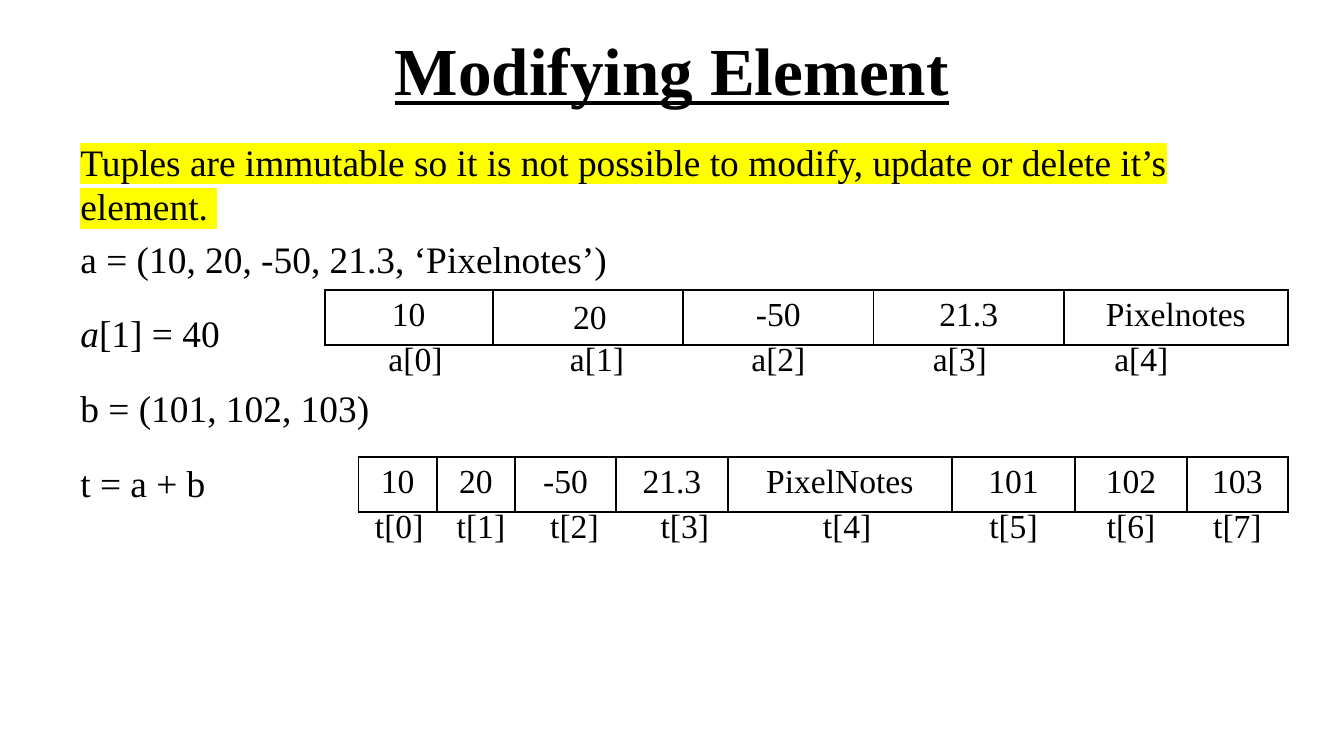
import pptx
import pptx.dml.color
import pptx.enum.text
import pptx.oxml
import pptx.oxml.ns
import pptx.util

PX = 914400 // 120
FONT = "Times New Roman"
BLACK = pptx.dml.color.RGBColor(0, 0, 0)
YELLOW = pptx.dml.color.RGBColor(255, 255, 0)
NO_STYLE = "{2D5ABB26-0587-4C30-8999-92F81FD0307C}"
NAMESPACE = pptx.oxml.ns.nsdecls("a")
ROW_HEIGHT = 49


def add_run(paragraph, text, size):
    run = paragraph.add_run()
    run.text = text
    run.font.name = FONT
    run.font.size = pptx.util.Pt(size)
    run.font.color.rgb = BLACK
    return run


def add_row(left, top, widths, texts, bordered):
    """Add a one-row table of centred texts, with or without a black grid."""
    frame = slide.shapes.add_table(
        1, len(widths), left * PX, top * PX, sum(widths) * PX, ROW_HEIGHT * PX)
    table = frame.table
    table.first_row = False
    table.horz_banding = False
    table._tbl.tblPr.find(pptx.oxml.ns.qn("a:tableStyleId")).text = NO_STYLE
    table.rows[0].height = ROW_HEIGHT * PX
    for index, (width, text) in enumerate(zip(widths, texts)):
        table.columns[index].width = width * PX
        cell = table.cell(0, index)
        if bordered:
            for side in ("lnL", "lnR", "lnT", "lnB"):
                cell._tc.get_or_add_tcPr().append(pptx.oxml.parse_xml(
                    f'<a:{side} {NAMESPACE} w="12700"><a:solidFill>'
                    f'<a:srgbClr val="{BLACK}"/></a:solidFill></a:{side}>'))
        cell.fill.background()
        paragraph = cell.text_frame.paragraphs[0]
        paragraph.alignment = pptx.enum.text.PP_ALIGN.CENTER
        if text:
            add_run(paragraph, text, 18)


presentation = pptx.Presentation()
presentation.slide_width = 1200 * PX
presentation.slide_height = 675 * PX
slide = presentation.slides.add_slide(presentation.slide_layouts[6])

# Title
title = slide.shapes.add_textbox(60 * PX, 5 * PX, 1080 * PX, 113 * PX).text_frame
title.word_wrap = True
title.vertical_anchor = pptx.enum.text.MSO_ANCHOR.MIDDLE
title.paragraphs[0].alignment = pptx.enum.text.PP_ALIGN.CENTER
title_run = add_run(title.paragraphs[0], "Modifying Element", 36)
title_run.font.bold = True
title_run.font.underline = True

# Explanation and code lines: line spacing, then (text, italic, highlighted) runs
body_lines = [
    (1, [("Tuples are immutable so it is not possible to modify, "
          "update or delete it’s element. ", False, True)]),
    (1, [("a = (10, 20, -50, 21.3, ‘Pixelnotes’)", False, False)]),
    (1.5, [("a", True, False), ("[1] = 40", False, False)]),
    (1.5, [("b = (101, 102, 103)", False, False)]),
    (1.5, [("t = a + b", False, False)]),
]
body = slide.shapes.add_textbox(60 * PX, 118 * PX, 1090 * PX, 510 * PX).text_frame
body.word_wrap = True
for index, (line_spacing, runs) in enumerate(body_lines):
    paragraph = body.paragraphs[0] if index == 0 else body.add_paragraph()
    paragraph.line_spacing = line_spacing
    if index > 0:
        paragraph.space_before = pptx.util.Pt(4)
    for text, italic, highlighted in runs:
        run = add_run(paragraph, text, 20)
        run.font.italic = italic
        if highlighted:
            latin = run._r.rPr.find(pptx.oxml.ns.qn("a:latin"))
            latin.addprevious(pptx.oxml.parse_xml(
                f'<a:highlight {NAMESPACE}><a:srgbClr val="{YELLOW}"/></a:highlight>'))

# Tuple a, its indexes, and the element in a box of its own
add_row(290, 259, [150, 170, 170, 170, 200],
        ["10", "", "-50", "21.3", "Pixelnotes"], True)
add_row(290, 299, [162] * 5, [f"a[{index}]" for index in range(5)], False)
element = slide.shapes.add_textbox(500 * PX, 258 * PX, 54 * PX, 48 * PX).text_frame
element.word_wrap = False
element.auto_size = pptx.enum.text.MSO_AUTO_SIZE.SHAPE_TO_FIT_TEXT
add_run(element.paragraphs[0], "20", 18)

# Tuple t and its indexes
add_row(320, 408, [70, 70, 90, 100, 200, 110, 100, 90],
        ["10", "20", "-50", "21.3", "PixelNotes", "101", "102", "103"], True)
add_row(320, 448, [73, 73, 94, 103, 187, 110, 100, 90],
        [f"t[{index}]" for index in range(8)], False)

presentation.save("out.pptx")
